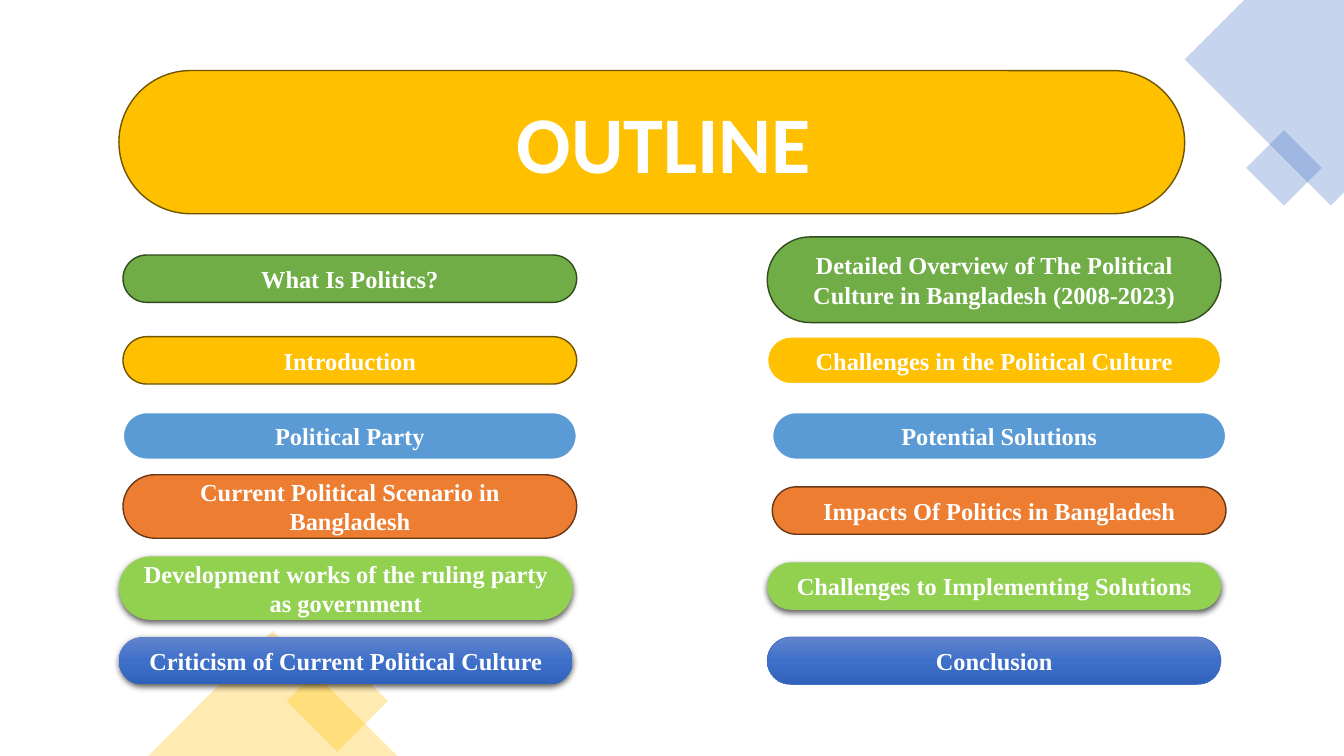
import copy

import lxml.etree
import pptx
import pptx.dml.color
import pptx.enum.shapes
import pptx.enum.text
import pptx.oxml.ns
import pptx.util

Inches = pptx.util.Inches
Pt = pptx.util.Pt
qn = pptx.oxml.ns.qn
SHAPE = pptx.enum.shapes.MSO_SHAPE

WHITE, GOLD, BLUE = "FFFFFF", "FFC000", "4472C4"
GREEN_EDGE, GOLD_EDGE, ORANGE_EDGE = "314C1F", "705400", "683715"
BLUE_GRADIENT = ("6183CB", "3E70CA", "3062BB")
PILL_W, PILL_H, TALL_H = 4.5, 0.47, 0.63
LEFT, RIGHT = 1.18, 7.61

LEFT_TOPICS = [
    ("What Is Politics?", 0.04, 2.53, PILL_H, "70AD47", (GREEN_EDGE, 1), False),
    ("Introduction", 0.04, 3.34, PILL_H, GOLD, (GOLD_EDGE, 1), False),
    ("Political Party", 0.04, 4.09, PILL_H, "5B9BD5", (WHITE, 1.5), False),
    ("Current Political Scenario in Bangladesh", 0.04, 4.71, TALL_H, "ED7D31", (ORANGE_EDGE, 1), False),
    ("Development works of the ruling party as government", 0, 5.52, TALL_H, "92D050", None, True),
    ("Criticism of Current Political Culture", 0, 6.32, PILL_H, BLUE_GRADIENT, None, True),
]
RIGHT_TOPICS = [
    ("Detailed Overview of The Political Culture in Bangladesh (2008-2023)", 0, 2.35, 0.85, "70AD47",
     (GREEN_EDGE, 1), False),
    ("Challenges in the Political Culture", 0, 3.34, PILL_H, GOLD, (WHITE, 1.5), False),
    ("Potential Solutions", 0.05, 4.09, PILL_H, "5B9BD5", (WHITE, 1.5), False),
    ("Impacts Of Politics in Bangladesh", 0.05, 4.83, PILL_H, "ED7D31", (ORANGE_EDGE, 1), False),
    ("Challenges to Implementing Solutions", 0, 5.58, PILL_H, "92D050", None, True),
    ("Conclusion", 0, 6.32, PILL_H, BLUE_GRADIENT, (BLUE, 0.5), False),
]


def rgb(value):
    """Turn a hex string into a colour."""
    return pptx.dml.color.RGBColor.from_string(value)


def paint(sp, fill, edge=None, alpha=None):
    """Fill a shape with a colour or a gradient and set its outline."""
    sp.shadow.inherit = False
    if isinstance(fill, tuple):
        sp.fill.gradient()
        sp.fill.gradient_angle = 270
        stops = sp._element.spPr.find(qn("a:gradFill")).find(qn("a:gsLst"))
        stops.insert(1, copy.deepcopy(stops[0]))
        for i, (stop, colour) in enumerate(zip(sp.fill.gradient_stops, fill)):
            stop.position = i / (len(fill) - 1)
            stop.color.rgb = rgb(colour)
    else:
        sp.fill.solid()
        sp.fill.fore_color.rgb = rgb(fill)
    if alpha is not None:
        clr = sp._element.spPr.find(qn("a:solidFill")).find(qn("a:srgbClr"))
        lxml.etree.SubElement(clr, qn("a:alpha"), val=str(alpha * 1000))
    if edge:
        sp.line.color.rgb = rgb(edge[0])
        sp.line.width = Pt(edge[1])
    else:
        sp.line.fill.background()


def add_soft_shadow(sp):
    """Give a shape a soft shadow just below it."""
    effects = sp._element.spPr.find(qn("a:effectLst"))
    shadow = lxml.etree.SubElement(effects, qn("a:outerShdw"), blurRad=str(Pt(4.5)), dist=str(Pt(1.5)),
                                   dir="5400000", algn="ctr", rotWithShape="0")
    clr = lxml.etree.SubElement(shadow, qn("a:srgbClr"), val="000000")
    lxml.etree.SubElement(clr, qn("a:alpha"), val="63000")


def add_shape(slide, kind, box, fill, edge=None, alpha=None):
    """Add a painted preset shape in a box given in inches."""
    sp = slide.shapes.add_shape(kind, *map(Inches, box))
    paint(sp, fill, edge, alpha)
    return sp


def add_pill(slide, box, fill, edge=None):
    """Add a rectangle with fully rounded ends."""
    sp = add_shape(slide, SHAPE.ROUNDED_RECTANGLE, box, fill, edge)
    sp.adjustments[0] = 0.5
    return sp


def write(sp, text, font, size):
    """Write one centred bold white line of text."""
    tf = sp.text_frame
    tf.word_wrap = True
    p = tf.paragraphs[0]
    p.alignment = pptx.enum.text.PP_ALIGN.CENTER
    p.space_after = Pt(6)
    r = p.add_run()
    r.text = text
    r.font.name = font
    r.font.size = Pt(size)
    r.font.bold = True
    r.font.color.rgb = rgb(WHITE)


def add_top_corner(slide, right):
    """Add the blue diamonds cut off by the top right corner."""
    points = [(right, 0), (right - 0.99, 0), (right - 1.58, 0.59), (right - 0.13, 2.04), (right, 1.91)]
    outline = [(Inches(x), Inches(y)) for x, y in points]
    builder = slide.shapes.build_freeform(*outline[0])
    builder.add_line_segments(outline[1:], close=True)
    paint(builder.convert_to_shape(), BLUE, alpha=30)
    diamond = add_shape(slide, SHAPE.RECTANGLE, (right - 0.86, 1.4, 0.53, 0.53), BLUE, alpha=30)
    diamond.rotation = 315


def add_bottom_corner(slide, left, bottom):
    """Add the gold diamond and triangle standing on the bottom edge."""
    diamond = add_shape(slide, SHAPE.RECTANGLE, (left + 1.52, bottom - 0.9, 0.71, 0.71), GOLD, alpha=30)
    diamond.rotation = 45
    add_shape(slide, SHAPE.ISOSCELES_TRIANGLE, (left, bottom - 1.24, 2.47, 1.24), GOLD, alpha=30)


def add_title(slide, left, top, width, height):
    """Add the gold title banner with its heading."""
    add_pill(slide, (left, top, width, height), GOLD, (GOLD_EDGE, 1))
    heading = slide.shapes.add_textbox(Inches(left + 3.38), Inches(top + 0.18), Inches(4.05), Inches(1.06))
    write(heading, "OUTLINE", "Calibri", 57.4)


def add_topics(slide, left, topics):
    """Add one column of topic pills."""
    for text, shift, top, height, fill, edge, raised in topics:
        sp = add_pill(slide, (left + shift, top, PILL_W, height), fill, edge)
        sp.text_frame.vertical_anchor = pptx.enum.text.MSO_ANCHOR.MIDDLE
        write(sp, text, "Times New Roman", 17.4)
        if raised:
            add_soft_shadow(sp)


def main():
    """Build the outline slide and save it."""
    prs = pptx.Presentation()
    prs.slide_width, prs.slide_height = Inches(13.33), Inches(7.5)
    slide = prs.slides.add_slide(prs.slide_layouts[6])
    add_top_corner(slide, 13.33)
    add_bottom_corner(slide, 1.47, 7.5)
    add_title(slide, LEFT, 0.7, 10.57, 1.42)
    add_topics(slide, LEFT, LEFT_TOPICS)
    add_topics(slide, RIGHT, RIGHT_TOPICS)
    prs.save("out.pptx")


if __name__ == "__main__":
    main()
